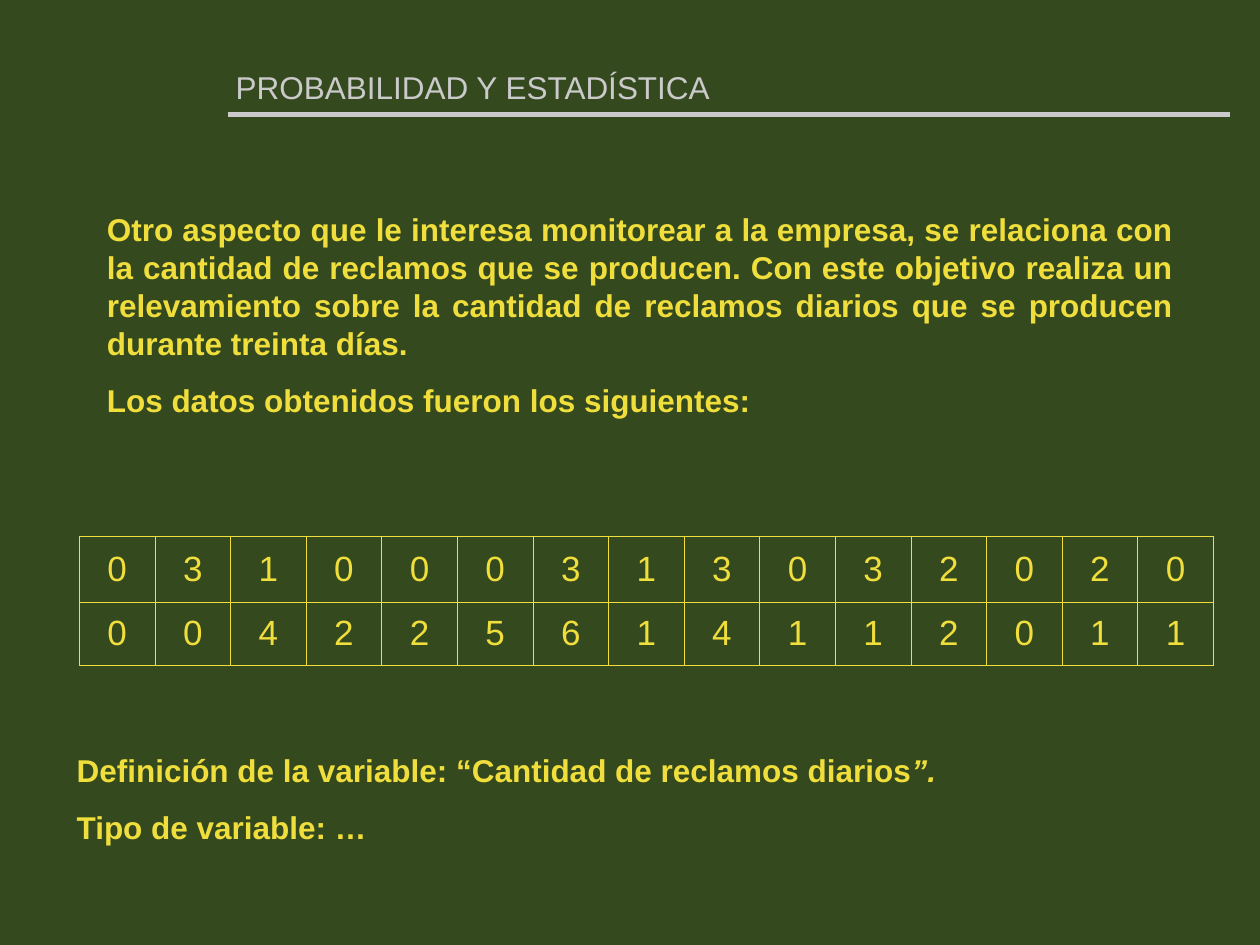
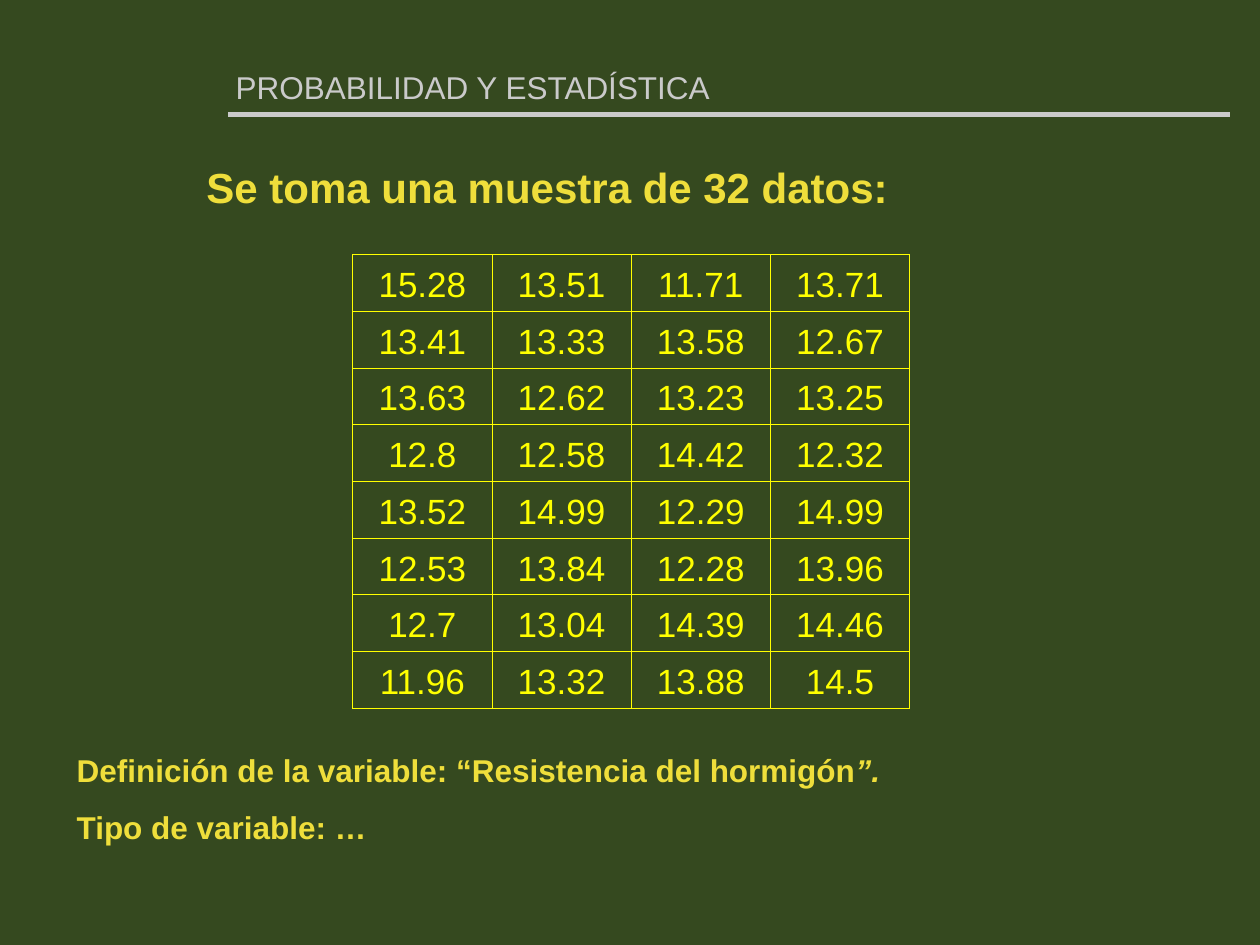
from lxml import etree
from pptx import Presentation
from pptx.dml.color import RGBColor
from pptx.enum.shapes import MSO_CONNECTOR
from pptx.enum.text import MSO_ANCHOR, MSO_AUTO_SIZE, PP_ALIGN
from pptx.oxml import parse_xml
from pptx.oxml.ns import nsdecls, qn
from pptx.util import Inches, Pt

GREEN = RGBColor(0x35, 0x49, 0x1F)
GRAY = RGBColor(0xCA, 0xCA, 0xCA)
GOLD = RGBColor(0xEF, 0xDE, 0x3B)
YELLOW = RGBColor(0xFF, 0xFF, 0x00)
FONT = "Arial"

COMPLAINTS = [
    "0 3 1 0 0 0 3 1 3 0 3 2 0 2 0".split(),
    "0 0 4 2 2 5 6 1 4 1 1 2 0 1 1".split(),
]
STRENGTHS = [
    ["15.28", "13.51", "11.71", "13.71"],
    ["13.41", "13.33", "13.58", "12.67"],
    ["13.63", "12.62", "13.23", "13.25"],
    ["12.8", "12.58", "14.42", "12.32"],
    ["13.52", "14.99", "12.29", "14.99"],
    ["12.53", "13.84", "12.28", "13.96"],
    ["12.7", "13.04", "14.39", "14.46"],
    ["11.96", "13.32", "13.88", "14.5"],
]
INTRO = [
    ["Otro aspecto que le interesa monitorear a la empresa, se relaciona con la cantidad "
     "de reclamos que se producen. Con este objetivo realiza un relevamiento sobre la "
     "cantidad de reclamos diarios que se producen durante treinta días."],
    ["Los datos obtenidos fueron los siguientes:"],
]


def add_text(s, box, paragraphs, size=18, align=PP_ALIGN.JUSTIFY, wrap=True):
    """Add bold gold text; each paragraph lists its runs, any after the first in italics."""
    tf = s.shapes.add_textbox(*map(Inches, box)).text_frame
    tf.word_wrap = wrap
    for i, runs in enumerate(paragraphs):
        p = tf.add_paragraph() if i else tf.paragraphs[0]
        p.alignment = align
        if i:
            p.space_before = Pt(11.2)
        p.font.name, p.font.size, p.font.bold = FONT, Pt(size), True
        p.font.color.rgb = GOLD
        for j, text in enumerate(runs):
            r = p.add_run()
            r.text = text
            if j:
                r.font.italic = True


def add_data_table(s, box, rows, row_heights, color, anchor):
    table = s.shapes.add_table(len(rows), len(rows[0]), *map(Inches, box)).table
    table.first_row = table.horz_banding = False
    for row, height, values in zip(table.rows, row_heights, rows):
        row.height = Inches(height)
        for cell, value in zip(row.cells, values):
            cell.text = value
            cell.vertical_anchor = anchor
            cell.margin_left = cell.margin_right = Inches(0.1)
            tcPr = cell._tc.get_or_add_tcPr()
            for side in "LRTB":
                tcPr.append(parse_xml(
                    f'<a:ln{side} {nsdecls("a")} w="{Pt(0.45)}"><a:solidFill>'
                    f'<a:srgbClr val="{color}"/></a:solidFill></a:ln{side}>'))
            cell.fill.background()
            p = cell.text_frame.paragraphs[0]
            p.alignment = PP_ALIGN.CENTER
            p.font.name, p.font.size = FONT, Pt(20)
            p.font.color.rgb = color


prs = Presentation()
prs.slide_width, prs.slide_height = Inches(10), Inches(7.5)
fill = prs.slide_master.background.fill
fill.solid()
fill.fore_color.rgb = GREEN

# Header and variable definition, common to both slides
for variable in ("Cantidad de reclamos diarios", "Resistencia del hormigón"):
    s = prs.slides.add_slide(prs.slide_layouts[5])
    title = s.shapes.title
    title.left, title.top = Inches(1.77), Inches(0.09)
    title.width, title.height = Inches(7.72), Inches(0.8)
    tf = title.text_frame
    tf.text = "PROBABILIDAD Y ESTADÍSTICA"
    tf.auto_size = MSO_AUTO_SIZE.NONE
    tf.vertical_anchor = MSO_ANCHOR.BOTTOM
    p = tf.paragraphs[0]
    p.alignment = PP_ALIGN.LEFT
    p.font.name, p.font.size = FONT, Pt(18)
    p.font.color.rgb = GRAY

    rule = s.shapes.add_connector(
        MSO_CONNECTOR.STRAIGHT, Inches(1.81), Inches(0.91), Inches(9.76), Inches(0.91))
    rule.line.color.rgb = GRAY
    rule.line.width = Pt(3)
    etree.SubElement(rule._element.spPr, qn("a:effectLst"))

    add_text(s, (0.51, 5.91, 9.49, 0.86), [
        [f"Definición de la variable: “{variable}", "”."],
        ["Tipo de variable: …"],
    ])

complaints_slide, strength_slide = prs.slides

# Daily complaints
add_text(complaints_slide, (0.75, 1.62, 8.66, 1.76), INTRO)
add_data_table(complaints_slide, (0.63, 4.26, 9, 1.02), COMPLAINTS, [0.52, 0.5],
               GOLD, MSO_ANCHOR.MIDDLE)

# Concrete strength
add_text(strength_slide, (1.54, 1.23, 5.61, 0.5), [["Se toma una muestra de 32 datos:"]],
         size=24, align=PP_ALIGN.LEFT, wrap=False)
add_data_table(strength_slide, (2.8, 2.02, 4.42, 3.6), STRENGTHS, [0.45] * 8,
               YELLOW, MSO_ANCHOR.BOTTOM)

prs.save("out.pptx")
